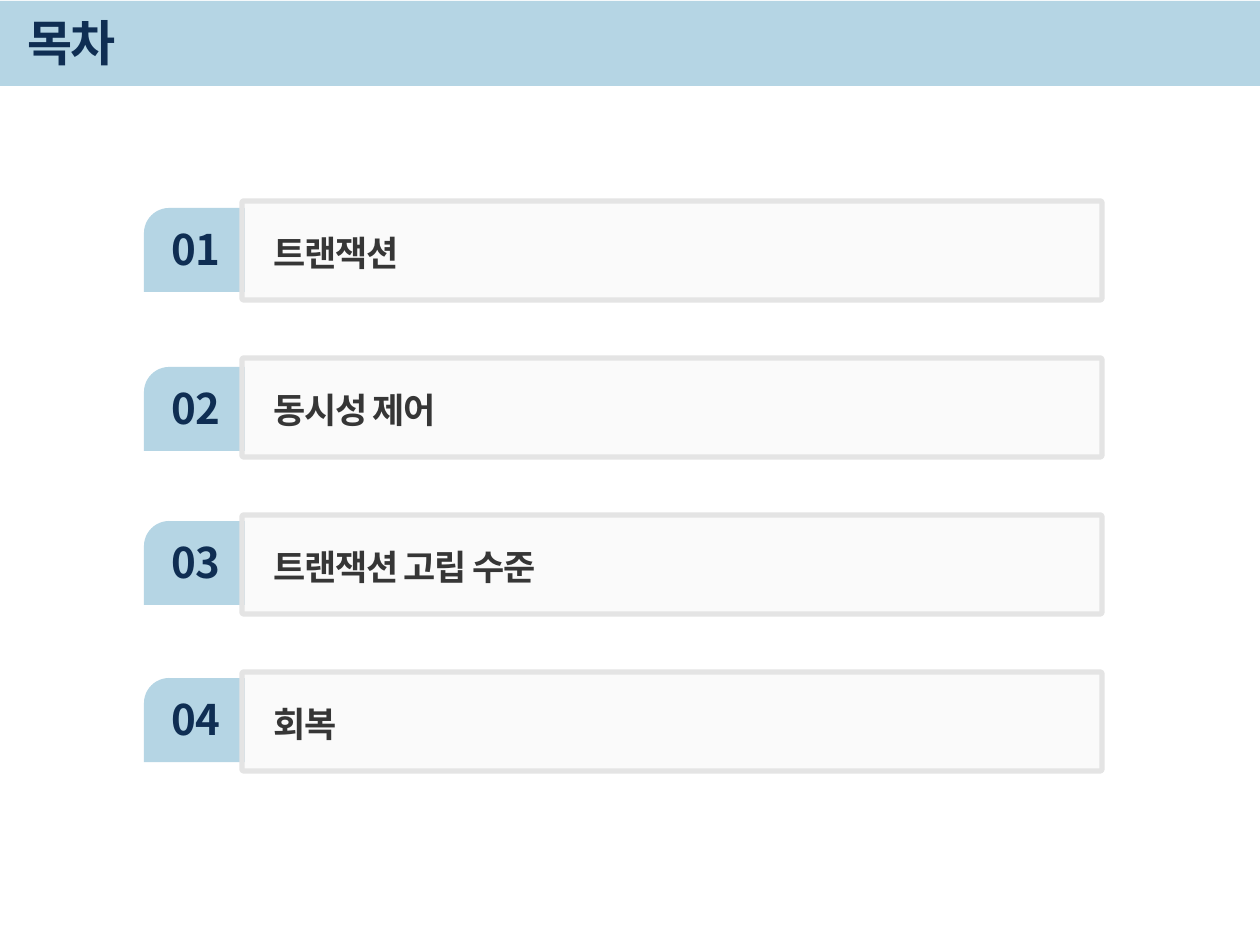
from lxml.etree import SubElement
from pptx import Presentation
from pptx.dml.color import RGBColor
from pptx.enum.shapes import MSO_SHAPE as Shape
from pptx.enum.text import MSO_ANCHOR as Anchor, MSO_AUTO_SIZE as AutoSize, PP_ALIGN as Align
from pptx.oxml.ns import qn
from pptx.util import Pt

# Content: number, label, top of the number tab
TITLE = "목차"
CHAPTERS = [
    ("01", "트랜잭션", 208),
    ("02", "동시성 제어", 367),
    ("03", "트랜잭션 고립 수준", 521),
    ("04", "회복", 678),
]
FONT = "Noto Sans CJK KR"
COLORS = {"band": "B5D5E4", "navy": "0F2E53", "label": "363636",
          "panel": "F2F2F2", "border": "E4E4E4"}
PANEL_ALPHA = 33
PX = 914400 / 126
FIRST_PANEL, PANEL_PITCH = 201, 157


def emu(*lengths):
    return [round(length * PX) for length in lengths]


def color(name):
    return RGBColor.from_string(COLORS[name])


def add_block(parent, kind, box, fill):
    block = parent.add_shape(kind, *emu(*box))
    block.shadow.inherit = False
    block.fill.solid()
    block.fill.fore_color.rgb = color(fill)
    block.line.fill.background()
    return block


def add_words(paragraph, words, size, ink, spacing=0):
    run = paragraph.add_run()
    run.text = words
    font = run.font
    font.size, font.bold, font.name = Pt(size), True, FONT
    font.color.rgb = color(ink)
    props = run._r.get_or_add_rPr()
    SubElement(props, qn("a:ea")).set("typeface", FONT)
    if spacing:
        props.set("spc", str(round(spacing * 100)))


def add_text(parent, box, wrap):
    frame = parent.add_textbox(*emu(*box)).text_frame
    frame.word_wrap = wrap
    frame.auto_size = AutoSize.SHAPE_TO_FIT_TEXT
    return frame


deck = Presentation()
deck.slide_width, deck.slide_height = emu(1260, 945)
slide = deck.slides.add_slide(deck.slide_layouts[5])

# Header band behind the title
band = add_block(slide.shapes, Shape.RECTANGLE, (0, 1, 1260, 85), "band")
title = slide.shapes.title
title._element.addprevious(band._element)
title.left, title.top, title.width, title.height = emu(15, 9, 1072, 66)
title.text_frame.auto_size = AutoSize.NONE
title.text_frame.vertical_anchor = Anchor.MIDDLE
heading = title.text_frame.paragraphs[0]
heading.alignment = Align.LEFT
add_words(heading, TITLE, 28, "navy", -1)

# One group per chapter: tab, number, panel, label
for row, (number, label, tab_top) in enumerate(CHAPTERS):
    panel_top = FIRST_PANEL + row * PANEL_PITCH
    parts = slide.shapes.add_group_shape().shapes

    tab = add_block(parts, Shape.SNIP_ROUND_RECTANGLE, (144, tab_top, 101, 84), "band")
    tab.adjustments[0], tab.adjustments[1] = 0.3, 0

    number_frame = add_text(parts, (159, tab_top + 9, 74, 63), False)
    number_frame.margin_left = number_frame.margin_right = 0
    number_line = number_frame.paragraphs[0]
    number_line.alignment = Align.CENTER
    add_words(number_line, number, 24, "navy")

    panel = add_block(parts, Shape.ROUNDED_RECTANGLE, (242, panel_top, 860, 99), "panel")
    panel.adjustments[0] = 0.02
    panel.line.color.rgb = color("border")
    panel.line.width = Pt(3)
    tint = panel._element.spPr.find(qn("a:solidFill")).find(qn("a:srgbClr"))
    SubElement(tint, qn("a:alpha")).set("val", str(PANEL_ALPHA * 1000))

    label_line = add_text(parts, (261, panel_top + 20, 665, 55), True).paragraphs[0]
    label_line.line_spacing = 1.1
    label_line.space_after = Pt(3)
    add_words(label_line, label, 20, "label", -0.75)

deck.save("out.pptx")
